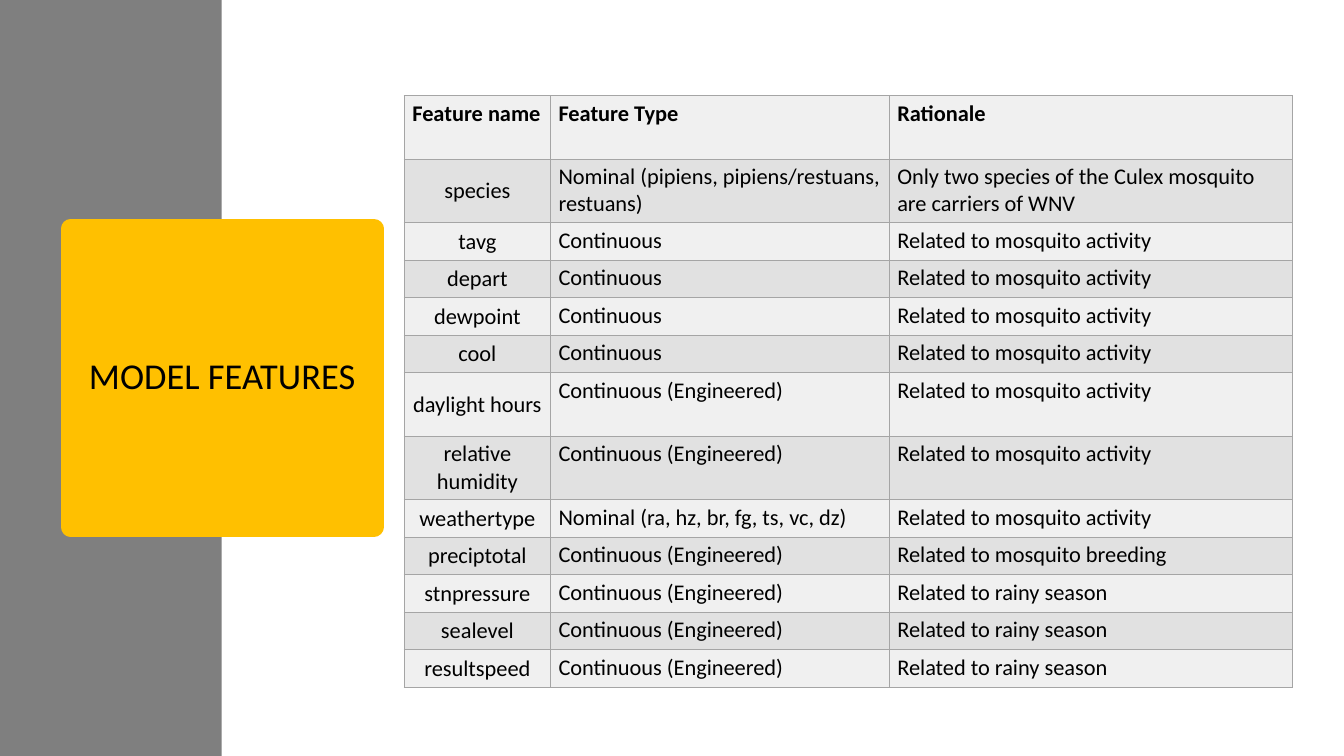
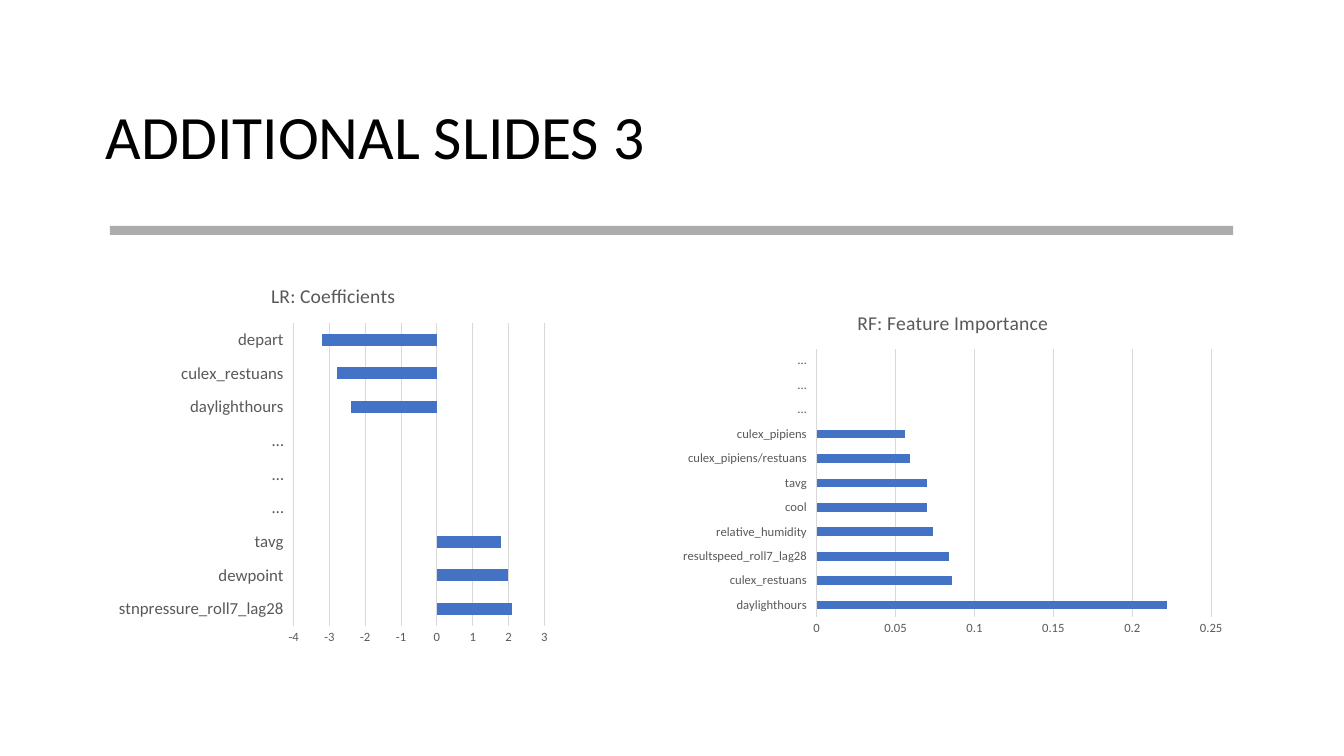
from dataclasses import dataclass

from lxml.etree import SubElement
from pptx import Presentation
from pptx.chart.data import CategoryChartData
from pptx.dml.color import RGBColor
from pptx.enum.chart import XL_CHART_TYPE, XL_TICK_LABEL_POSITION, XL_TICK_MARK
from pptx.enum.shapes import MSO_SHAPE
from pptx.enum.text import MSO_ANCHOR, PP_ALIGN
from pptx.oxml.ns import qn
from pptx.util import Inches, Pt


@dataclass(frozen=True)
class Theme:
    """Colours, font and type sizes shared by the slides."""
    font: str = "Calibri"
    black: str = "000000"
    panel: str = "7F7F7F"
    rule: str = "808080"
    accent: str = "FFC000"
    border: str = "A5A5A5"
    bands: tuple = ("F0F0F0", "E1E1E1")
    bar: str = "4472C4"
    label: str = "595959"
    grid: str = "D9D9D9"
    title: int = 44
    badge: int = 26
    body: int = 16
    chart_title: int = 14
    axis: int = 9


THEME = Theme()

ACTIVITY, BREEDING, SEASON = (
    f"Related to {topic}" for topic in ("mosquito activity", "mosquito breeding", "rainy season"))
PLAIN, ENGINEERED = "Continuous", "Continuous (Engineered)"
FEATURES = [
    ("Feature name", "Feature Type", "Rationale"),
    ("species", "Nominal (pipiens, pipiens/restuans, restuans)",
     "Only two species of the Culex mosquito are carriers of WNV"),
    ("tavg", PLAIN, ACTIVITY),
    ("depart", PLAIN, ACTIVITY),
    ("dewpoint", PLAIN, ACTIVITY),
    ("cool", PLAIN, ACTIVITY),
    ("daylight hours", ENGINEERED, ACTIVITY),
    ("relative humidity", ENGINEERED, ACTIVITY),
    ("weathertype", "Nominal (ra, hz, br, fg, ts, vc, dz)", ACTIVITY),
    ("preciptotal", ENGINEERED, BREEDING),
    ("stnpressure", ENGINEERED, SEASON),
    ("sealevel", ENGINEERED, SEASON),
    ("resultspeed", ENGINEERED, SEASON),
]
TALL_ROWS = (0, 1, 6, 7)
GAP = [("…", None)] * 3
COEFFICIENTS = [
    ("stnpressure_roll7_lag28", 2.1), ("dewpoint", 2), ("tavg", 1.8), *GAP,
    ("daylighthours", -2.4), ("culex_restuans", -2.8), ("depart", -3.2),
]
IMPORTANCE = [
    ("daylighthours", 0.222), ("culex_restuans", 0.086),
    ("resultspeed_roll7_lag28", 0.084), ("relative_humidity", 0.074),
    ("cool", 0.07), ("tavg", 0.07), ("culex_pipiens/restuans", 0.059),
    ("culex_pipiens", 0.056), *GAP,
]


def rgb(color):
    """Return a colour object for a hex string."""
    return RGBColor.from_string(color)


def style_font(font, size, color=THEME.black, bold=False):
    """Apply the theme font with a size and colour."""
    font.name, font.size, font.bold = THEME.font, Pt(size), bold
    font.color.rgb = rgb(color)


def write(tf, text, size, color=THEME.black, bold=False, align=PP_ALIGN.LEFT, spacing=None):
    """Write one formatted paragraph into a text frame."""
    tf.word_wrap = True
    p = tf.paragraphs[0]
    p.alignment = align
    if spacing:
        p.line_spacing = spacing
    r = p.add_run()
    r.text = text
    style_font(r.font, size, color, bold)


def add_block(s, box, color, alpha=None):
    """Add a flat rectangle, optionally translucent."""
    sp = s.shapes.add_shape(MSO_SHAPE.RECTANGLE, *map(Inches, box))
    sp.shadow.inherit = False
    sp.fill.solid()
    sp.fill.fore_color.rgb = rgb(color)
    sp.line.fill.background()
    if alpha:
        clr = sp.fill._xPr.find(f".//{qn('a:srgbClr')}")
        SubElement(clr, qn("a:alpha"), val=str(alpha * 1000))
    return sp


def add_badge(s, box, text):
    """Add a title block whose thick outline rounds its corners."""
    sp = add_block(s, box, THEME.accent)
    sp.line.color.rgb = rgb(THEME.accent)
    sp.line.width = Pt(13.75)
    SubElement(sp.line._get_or_add_ln(), qn("a:round"))
    sp.text_frame.vertical_anchor = MSO_ANCHOR.MIDDLE
    write(sp.text_frame, text, THEME.badge, align=PP_ALIGN.CENTER, spacing=0.9)


def add_title(s, box, text):
    """Add a slide title centred vertically in its box."""
    tf = s.shapes.add_textbox(*map(Inches, box)).text_frame
    tf.vertical_anchor = MSO_ANCHOR.MIDDLE
    write(tf, text, THEME.title, spacing=0.9)


def set_borders(cell):
    """Draw thin borders on all sides of a cell."""
    tc_pr = cell._tc.get_or_add_tcPr()
    for i, side in enumerate(("lnL", "lnR", "lnT", "lnB")):
        ln = tc_pr.makeelement(qn(f"a:{side}"), {"w": str(Pt(1))})
        fill = SubElement(ln, qn("a:solidFill"))
        SubElement(fill, qn("a:srgbClr"), val=THEME.border)
        tc_pr.insert(i, ln)


def add_feature_table(s, box, rows, widths, tall_rows, tall=0.63):
    """Add the banded table, sharing the remaining height among short rows."""
    table = s.shapes.add_table(len(rows), len(widths), *map(Inches, box)).table
    table.horz_banding = False
    for column, width in zip(table.columns, widths):
        column.width = Inches(width)
    short = (box[3] - tall * len(tall_rows)) / (len(rows) - len(tall_rows))
    for i, row in enumerate(rows):
        table.rows[i].height = Inches(tall if i in tall_rows else short)
        for j, text in enumerate(row):
            cell = table.cell(i, j)
            is_name = i > 0 and j == 0
            cell.margin_left = cell.margin_right = Inches(0.08)
            cell.margin_top = cell.margin_bottom = Inches(0.04)
            cell.vertical_anchor = MSO_ANCHOR.MIDDLE if is_name else MSO_ANCHOR.TOP
            cell.fill.solid()
            cell.fill.fore_color.rgb = rgb(THEME.bands[i % 2])
            write(cell.text_frame, text, THEME.body, bold=i == 0,
                  align=PP_ALIGN.CENTER if is_name else PP_ALIGN.LEFT)
            set_borders(cell)


def style_line(line):
    """Give a chart line the grid style."""
    line.color.rgb = rgb(THEME.grid)
    line.width = Pt(0.75)


def add_bar_chart(s, box, title, points, scale, label_size=THEME.axis):
    """Add a horizontal bar chart with a (minimum, maximum, step) scale."""
    data = CategoryChartData()
    data.categories = [name for name, _ in points]
    data.add_series("Series 1", [value for _, value in points])
    chart = s.shapes.add_chart(XL_CHART_TYPE.BAR_CLUSTERED, *map(Inches, box), data).chart
    style_font(chart.font, 10)
    chart.has_legend = False
    chart.has_title = True
    write(chart.chart_title.text_frame, title, THEME.chart_title, THEME.label,
          align=PP_ALIGN.CENTER)
    chart.chart_title.include_in_layout = False

    plot = chart.plots[0]
    plot.gap_width = 182
    plot.vary_by_categories = False
    series = plot.series[0]
    series.invert_if_negative = False
    series.format.fill.solid()
    series.format.fill.fore_color.rgb = rgb(THEME.bar)

    cat, val = chart.category_axis, chart.value_axis
    for axis, size in ((cat, label_size), (val, THEME.axis)):
        axis.major_tick_mark = axis.minor_tick_mark = XL_TICK_MARK.NONE
        style_font(axis.tick_labels.font, size, THEME.label)
    cat.tick_label_position = XL_TICK_LABEL_POSITION.LOW
    cat.has_major_gridlines = False
    style_line(cat.format.line)
    val.minimum_scale, val.maximum_scale, val.major_unit = scale
    val.has_major_gridlines = True
    style_line(val.major_gridlines.format.line)
    val.format.line.fill.background()


def build_features_slide(s, width, height):
    """Build the slide with a side panel, badge and feature table."""
    add_block(s, (0, 0, 2.2, height), THEME.panel)
    add_badge(s, (0.7, 2.27, 3.01, 2.96), "MODEL FEATURES")
    widths = (1.45, 3.36, 4)
    add_feature_table(s, (4.01, 0.95, sum(widths), 5.87), FEATURES, widths, TALL_ROWS)


def build_charts_slide(s, width, height):
    """Build the slide with a ruled title above two bar charts."""
    margin = 1.09
    add_block(s, (margin, 2.24, 11.14, 0.09), THEME.rule, alpha=65)
    add_bar_chart(s, (margin, 2.64, 4.43, 3.83), "LR: Coefficients", COEFFICIENTS,
                  (-4, 3, 1), label_size=12)
    add_bar_chart(s, (width / 2, 2.91, 5.57, 3.47), "RF: Feature Importance", IMPORTANCE,
                  (0, 0.25, 0.05))
    add_title(s, (0.95, 0.66, 11.43, 1.45), "ADDITIONAL SLIDES 3")


def main():
    """Build and save the presentation."""
    width, height = 13.33, 7.5
    prs = Presentation()
    prs.slide_width, prs.slide_height = Inches(width), Inches(height)
    for build in (build_features_slide, build_charts_slide):
        build(prs.slides.add_slide(prs.slide_layouts[6]), width, height)
    prs.save("out.pptx")


if __name__ == "__main__":
    main()
